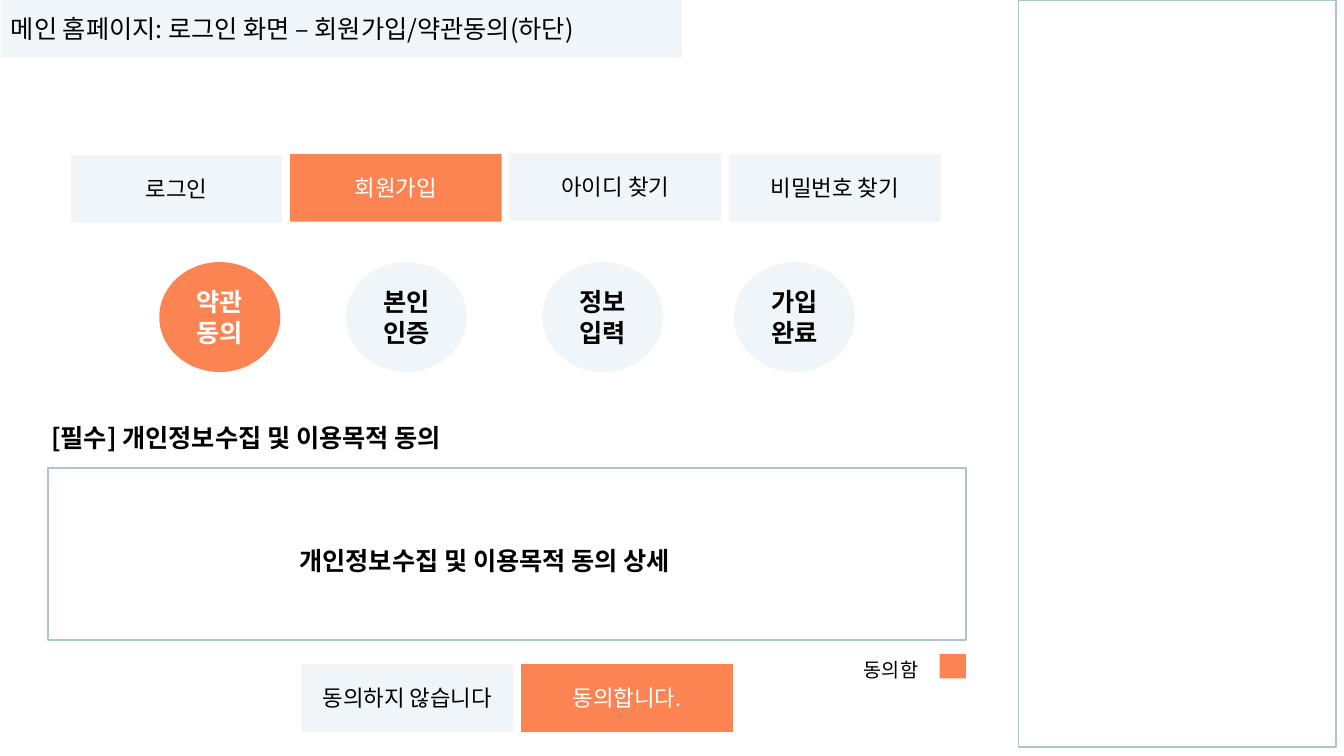
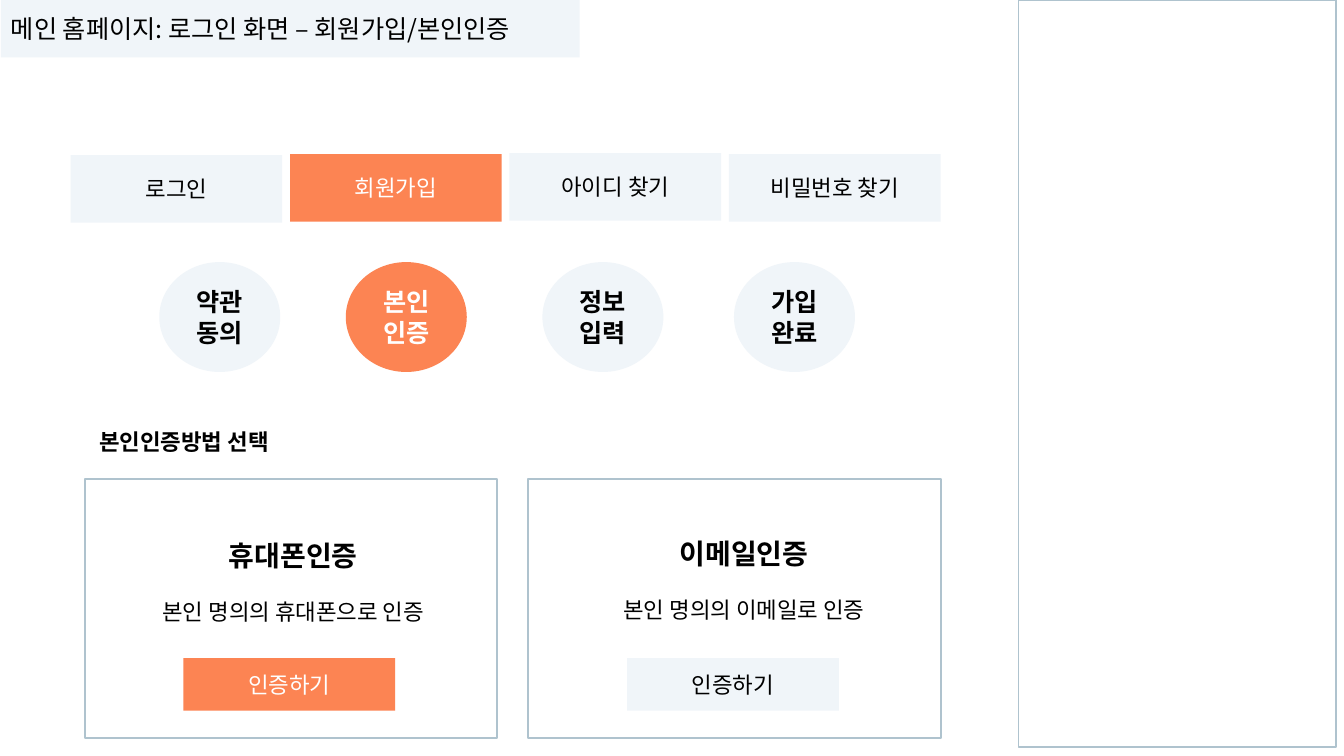
from dataclasses import dataclass

from pptx import Presentation
from pptx.dml.color import RGBColor
from pptx.enum.shapes import MSO_SHAPE as SHAPE
from pptx.enum.text import MSO_ANCHOR as ANCHOR, PP_ALIGN as ALIGN
from pptx.oxml.ns import qn
from pptx.util import Inches, Pt


@dataclass(frozen=True)
class Theme:
    font: str = "Noto Sans CJK KR"
    accent: str = "FC8453"
    pale: str = "F0F5F9"
    border: str = "AFC3CE"
    dark: str = "000000"
    light: str = "FFFFFF"
    card_title: int = 20
    heading: int = 18
    body: int = 16
    small: int = 14


T = Theme()
TABS = [("로그인", 1.54), ("회원가입", 1.53), ("아이디 찾기", 1.52), ("비밀번호 찾기", 1.53)]
STEPS = [("약관동의", 1.58), ("본인인증", 3.43), ("정보입력", 5.38), ("가입\n완료", 7.28)]
BUTTON_W, BUTTON_H = 2.1, 0.67


def rgb(value):
    return RGBColor.from_string(value)


def style(p, size, color=T.dark, bold=False, align=ALIGN.LEFT):
    """Set the paragraph's font for Latin and Korean text alike."""
    p.alignment = align
    p.font.size = Pt(size)
    p.font.bold = bold
    p.font.color.rgb = rgb(color)
    p.font.name = T.font
    def_rpr = p._p.pPr.find(qn("a:defRPr"))
    east_asian = def_rpr.makeelement(qn("a:ea"), {"typeface": T.font})
    def_rpr.append(east_asian)


def write(tf, text, size, anchor=ANCHOR.MIDDLE, **font):
    tf.word_wrap = True
    tf.vertical_anchor = anchor
    tf.text = text
    for p in tf.paragraphs:
        style(p, size, **font)


def add_label(s, box, text, size, **font):
    sp = s.shapes.add_textbox(*map(Inches, box))
    write(sp.text_frame, text, size, **font)
    return sp


def add_block(s, box, fill, kind=SHAPE.RECTANGLE):
    sp = s.shapes.add_shape(kind, *map(Inches, box))
    sp.shadow.inherit = False
    sp.fill.solid()
    sp.fill.fore_color.rgb = rgb(fill)
    sp.line.fill.background()
    return sp


def add_frame(s, box, width=1.5):
    sp = s.shapes.add_shape(SHAPE.RECTANGLE, *map(Inches, box))
    sp.shadow.inherit = False
    sp.fill.background()
    sp.line.color.rgb = rgb(T.border)
    sp.line.width = Pt(width)


def add_button(s, box, text, active, size=T.body, bold=False, kind=SHAPE.RECTANGLE):
    """Add a centred label on a block, in the accent colour when active."""
    sp = add_block(s, box, T.accent if active else T.pale, kind)
    write(sp.text_frame, text, size, bold=bold, align=ALIGN.CENTER,
          color=T.light if active else T.dark)


def add_title(s, text, width):
    sp = add_block(s, (0.01, 0, width, 0.57), T.pale)
    write(sp.text_frame, text, T.heading)


def add_tabs(s, left, width, active):
    pitch = (width - BUTTON_W) / (len(TABS) - 1)
    for i, (text, top) in enumerate(TABS):
        add_button(s, (left + i * pitch, top, BUTTON_W, BUTTON_H), text, text == active)


def add_steps(s, top, active):
    for text, left in STEPS:
        add_button(s, (left, top, 1.2, 1.09), text, text == active, T.heading,
                   True, SHAPE.FLOWCHART_CONNECTOR)


def add_signup_slide(prs, title, title_width, step):
    s = prs.slides.add_slide(prs.slide_layouts[6])
    add_title(s, title, title_width)
    add_frame(s, (10.1, 0, 3.15, 7.41), 1)
    add_tabs(s, 0.7, 8.63, "회원가입")
    add_steps(s, 2.6, step)
    return s


def add_terms(s, left, top, width, height):
    add_label(s, (left - 0.07, top - 0.61, 4.79, 0.62),
              "[필수] 개인정보수집 및 이용목적 동의", T.heading, bold=True)
    add_frame(s, (left, top, width, height))
    add_label(s, (left + 2.39, top + 0.61, 4.44, 0.62),
              "개인정보수집 및 이용목적 동의 상세", T.heading, bold=True)
    right, bottom = left + width, top + height
    add_label(s, (right - 1.11, bottom + 0.12, 0.82, 0.34), "동의함", T.small)
    add_block(s, (right - 0.26, bottom + 0.14, 0.26, 0.24), T.accent)
    choices = [("동의하지 않습니다", False), ("동의합니다.", True)]
    for i, (text, active) in enumerate(choices):
        add_button(s, (left + 2.51 + i * 2.18, bottom + 0.24, BUTTON_W, BUTTON_H),
                   text, active)


def add_method_card(s, left, top, title, detail, text_at, active):
    """Add a framed card; text_at is the text's offset from the card's corner."""
    add_frame(s, (left, top, 4.09, 2.57))
    dx, dy = text_at
    sp = add_label(s, (left + dx, top + dy, 3.5, 0.98), title, T.card_title,
                   anchor=ANCHOR.TOP, bold=True, align=ALIGN.CENTER)
    p = sp.text_frame.add_paragraph()
    p.text = detail
    p.space_before = Pt(19)
    style(p, T.body, align=ALIGN.CENTER)
    add_button(s, (left + 0.98, top + 1.78, BUTTON_W, 0.52), "인증하기", active)


def terms_slide(prs):
    s = add_signup_slide(prs, "메인 홈페이지: 로그인 화면 – 회원가입/약관동의(하단)",
                         6.76, "약관동의")
    add_terms(s, 0.48, 4.64, 9.1, 1.71)


def identity_slide(prs):
    s = add_signup_slide(prs, "메인 홈페이지: 로그인 화면 – 회원가입/본인인증",
                         5.74, "본인인증")
    add_label(s, (0.81, 4.14, 2.03, 0.48), "본인인증방법 선택", T.body,
              bold=True, align=ALIGN.CENTER)
    add_method_card(s, 0.84, 4.75, "휴대폰인증", "본인 명의의 휴대폰으로 인증",
                    (0.32, 0.54), True)
    add_method_card(s, 5.24, 4.75, "이메일인증", "본인 명의의 이메일로 인증",
                    (0.39, 0.52), False)


def main():
    prs = Presentation()
    prs.slide_width, prs.slide_height = Inches(13.33), Inches(7.5)
    terms_slide(prs)
    identity_slide(prs)
    prs.save("out.pptx")


if __name__ == "__main__":
    main()
